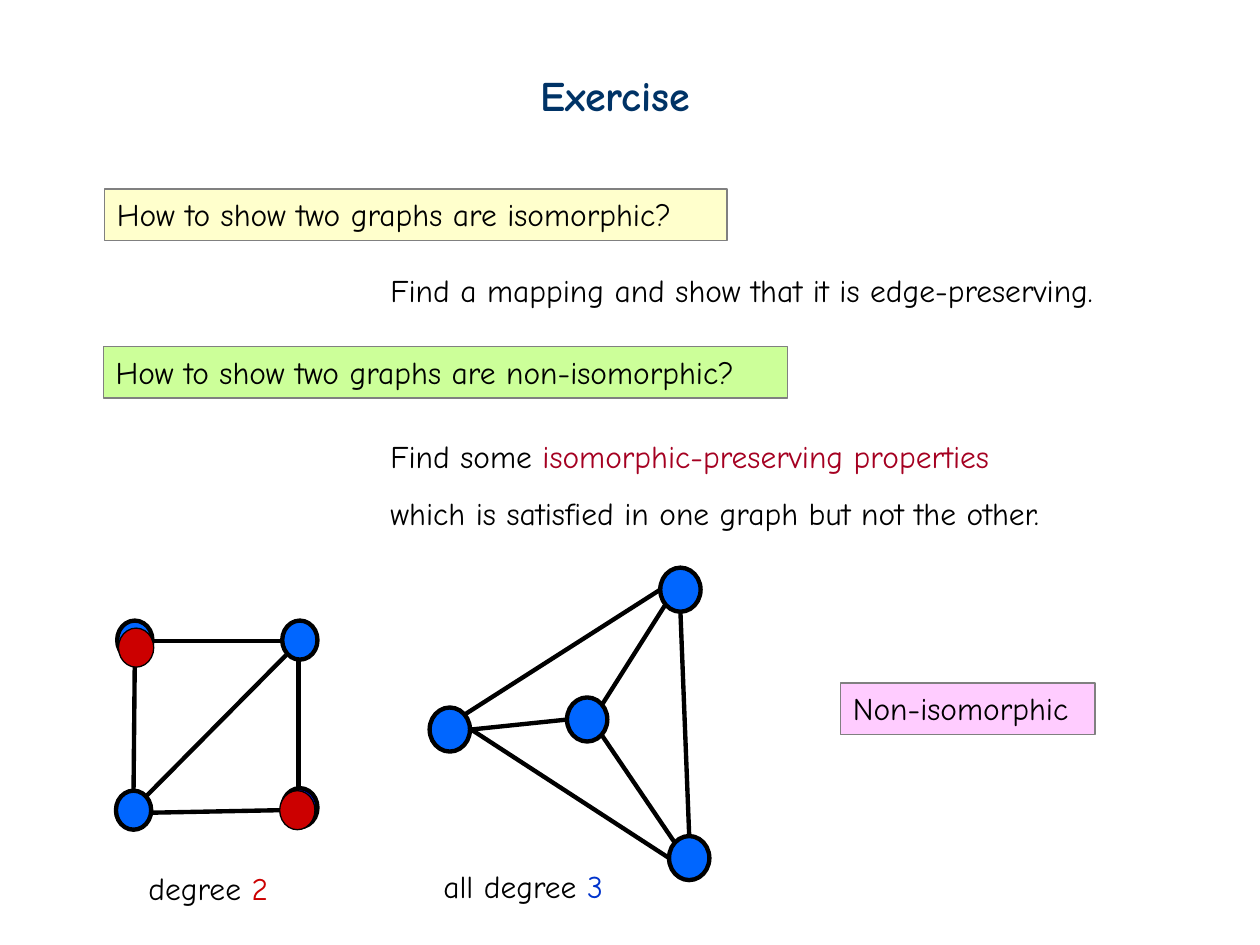
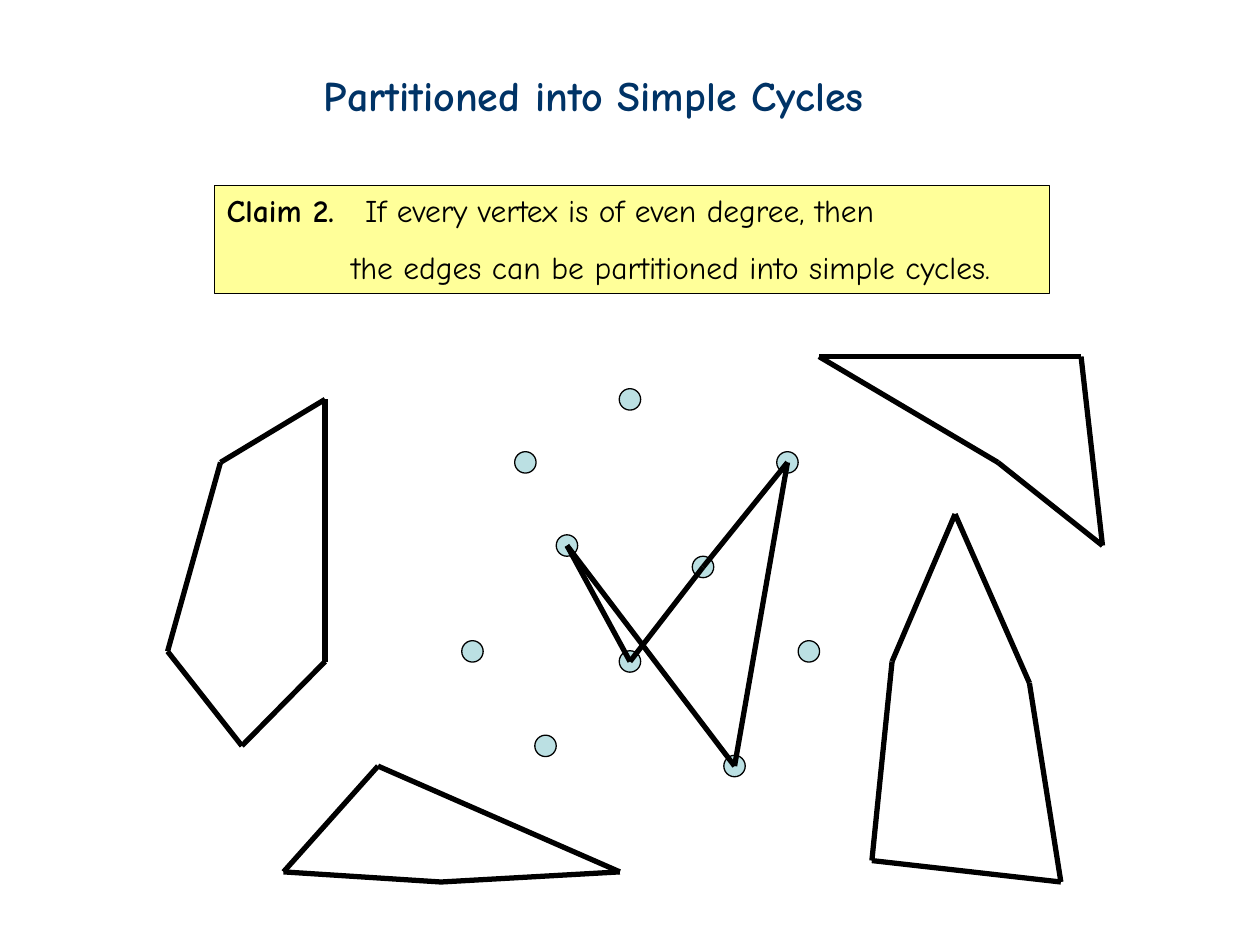
from itertools import pairwise
from pptx import Presentation
from pptx import util as u
from pptx.dml.color import RGBColor
from pptx.enum import shapes, text
from pptx.oxml.ns import qn
from lxml import etree

FONT = "Comic Neue"
COLORS = {
    "title": "003366", "black": "000000", "gray": "808080",
    "node": "0066FF", "deep_node": "0000FF", "red": "CC0000",
    "blue": "0033CC", "crimson": "A50021", "pink": "FFCCFF",
    "cream": "FFFFCC", "green": "CCFF99", "yellow": "FFFF99",
    "vertex": "BBE0E3",
}
FRAME = {"word_wrap": True, "auto_size": text.MSO_AUTO_SIZE.NONE,
         "vertical_anchor": text.MSO_ANCHOR.TOP,
         "margin_left": u.Inches(0.1), "margin_right": u.Inches(0.1),
         "margin_top": u.Inches(0.05), "margin_bottom": u.Inches(0.05)}
TITLE_FONT = {"name": FONT, "size": u.Pt(24), "bold": True}
BODY_FONT = {"name": FONT, "size": u.Pt(18), "bold": False}

TITLES = [("Exercise", (4.19, 0.5, 1.56, 0.5)),
          ("Partitioned into Simple Cycles", (2.47, 0.5, 5.03, 0.5))]

GRAPHS = [
    {"size": (0.31, 0.28),
     "nodes": [(1.06, 6.43, "node"), (1.07, 5.08, "node"),
               (2.38, 6.41, "deep_node"), (2.38, 5.08, "node")],
     "edges": [((1.06, 6.27), (1.07, 5.24)), ((2.23, 5.09), (1.21, 5.09)),
               ((2.37, 6.25), (2.37, 5.24)), ((1.2, 6.45), (2.23, 6.43)),
               ((1.16, 6.32), (2.27, 5.2))]},
    {"size": (0.35, 0.32),
     "nodes": [(3.57, 5.79, "node"), (4.66, 5.71, "node"),
               (5.47, 6.81, "node"), (5.4, 4.68, "node")],
     "edges": [((5.47, 6.63), (5.4, 4.85)), ((3.74, 5.79), (5.31, 6.81)),
               ((3.69, 5.67), (5.24, 4.68)), ((5.35, 6.68), (4.78, 5.84)),
               ((4.78, 5.59), (5.28, 4.8)), ((3.74, 5.79), (4.51, 5.71))]},
]
DEGREE_TWO = [(2.36, 6.43), (1.08, 5.14)]

LABELS = [
    ((1.08, 6.85, 1.24, 0.4), [[("degree ", "black"), ("2", "red")]]),
    ((3.42, 6.83, 1.58, 0.4), [[("all degree ", "black"), ("3", "blue")]]),
    ((3, 2.1, 6.15, 0.4),
     [[("Find a mapping and show that it is edge-preserving.", "black")]]),
    ((3, 3.42, 5.91, 0.85),
     [[("Find some ", "black"), ("isomorphic-preserving properties", "crimson")],
      [("which is satisfied in one graph but not the other.", "black")]]),
]
BOXES = [
    ((6.67, 5.42, 2.02, 0.41), "pink", "Non-isomorphic"),
    ((0.83, 1.5, 4.94, 0.41), "cream", "How to show two graphs are isomorphic?"),
    ((0.82, 2.75, 5.43, 0.41), "green", "How to show two graphs are non-isomorphic?"),
]

CLAIM = [[("Claim 2.", "black"), ("\tIf every vertex is of even degree, then", "black")],
         [("the edges can be partitioned into simple cycles.", "black")]]
CLAIM_AT = (1.7, 1.47, 6.63, 0.86)
CLAIM_TAB, CLAIM_INDENT = 1.1, 0.99
VERTICES = [(5, 3.17), (4.17, 3.67), (4.5, 4.33), (5.58, 4.5), (5, 5.25),
            (3.75, 5.17), (6.42, 5.17), (6.25, 3.67), (5.83, 6.08), (4.33, 5.92)]
CYCLES = [
    [(1.33, 5.17), (1.92, 5.92), (2.58, 5.25), (2.58, 3.17), (1.75, 3.67)],
    [(3, 6.08), (2.25, 6.92), (3.5, 7), (4.92, 6.92)],
    [(8.75, 4.33), (8.58, 2.83), (6.5, 2.83), (7.92, 3.67)],
    [(8.42, 7), (8.17, 5.42), (7.58, 4.08), (7.08, 5.25), (6.92, 6.83)],
    [(4.5, 4.33), (5, 5.25), (5.58, 4.5), (6.25, 3.67), (5.83, 6.08)],
]


def rgb(name):
    return RGBColor.from_string(COLORS[name])


def inches(values):
    return [u.Inches(v) for v in values]


def apply(target, values):
    for key, value in values.items():
        setattr(target, key, value)


def write(sp, paragraphs, font):
    tf = sp.text_frame
    apply(tf, FRAME)
    for i, runs in enumerate(paragraphs):
        p = tf.add_paragraph() if i else tf.paragraphs[0]
        apply(p, {"alignment": text.PP_ALIGN.LEFT, "line_spacing": 1.5 if i else 1.0})
        for words, color in runs:
            r = p.add_run()
            r.text = words
            apply(r.font, font)
            r.font.color.rgb = rgb(color)
    return tf


def add_shape(parent, kind, at, fill, line, width):
    sp = parent.add_shape(kind, *inches(at))
    sp.shadow.inherit = False
    sp.fill.solid()
    sp.fill.fore_color.rgb = rgb(fill)
    sp.line.color.rgb = rgb(line)
    sp.line.width = u.Pt(width)
    return sp


def add_dot(parent, center, size, fill, width, rotation=0):
    (x, y), (w, h) = center, size
    sp = add_shape(parent, shapes.MSO_SHAPE.OVAL, (x - w / 2, y - h / 2, w, h),
                   fill, "black", width)
    sp.rotation = rotation


def add_edge(parent, start, end, width):
    line = parent.add_connector(shapes.MSO_CONNECTOR.STRAIGHT, *inches(start + end))
    line.line.color.rgb = rgb("black")
    line.line.width = u.Pt(width)
    etree.SubElement(line._element.spPr, qn("a:effectLst"))


def add_box(slide, at, fill, paragraphs, line="gray"):
    sp = add_shape(slide.shapes, shapes.MSO_SHAPE.RECTANGLE, at, fill, line, 0.75)
    return write(sp, paragraphs, BODY_FONT)


def add_slide(prs, title, at):
    slide = prs.slides.add_slide(prs.slide_layouts[5])
    sp = slide.shapes.title
    apply(sp, dict(zip(("left", "top", "width", "height"), inches(at))))
    write(sp, [[(title, "title")]], TITLE_FONT)
    return slide


def build_exercise(slide):
    for graph in GRAPHS:
        group = slide.shapes.add_group_shape().shapes
        for x, y, fill in graph["nodes"]:
            add_dot(group, (x, y), graph["size"], fill, 2.5, 270)
        for start, end in graph["edges"]:
            add_edge(group, start, end, 2.5)
    for center in DEGREE_TWO:
        add_dot(slide.shapes, center, GRAPHS[0]["size"], "red", 0.75, 270)
    for at, paragraphs in LABELS:
        write(slide.shapes.add_textbox(*inches(at)), paragraphs, BODY_FONT)
    for at, fill, words in BOXES:
        add_box(slide, at, fill, [[(words, "black")]])


def build_cycles(slide):
    first, second = add_box(slide, CLAIM_AT, "yellow", CLAIM, "black").paragraphs
    first.runs[0].font.bold = True
    tabs = etree.SubElement(first._p.get_or_add_pPr(), qn("a:tabLst"))
    etree.SubElement(tabs, qn("a:tab"), pos=str(u.Inches(CLAIM_TAB)), algn="l")
    second._p.get_or_add_pPr().set("marL", str(u.Inches(CLAIM_INDENT)))
    for center in VERTICES:
        add_dot(slide.shapes, center, (0.17, 0.17), "vertex", 0.75)
    for cycle in CYCLES:
        for start, end in pairwise(cycle + cycle[:1]):
            add_edge(slide.shapes, start, end, 3)


prs = Presentation()
prs.slide_width, prs.slide_height = inches((10, 7.5))
for (title, at), build in zip(TITLES, (build_exercise, build_cycles)):
    build(add_slide(prs, title, at))
prs.save("out.pptx")
